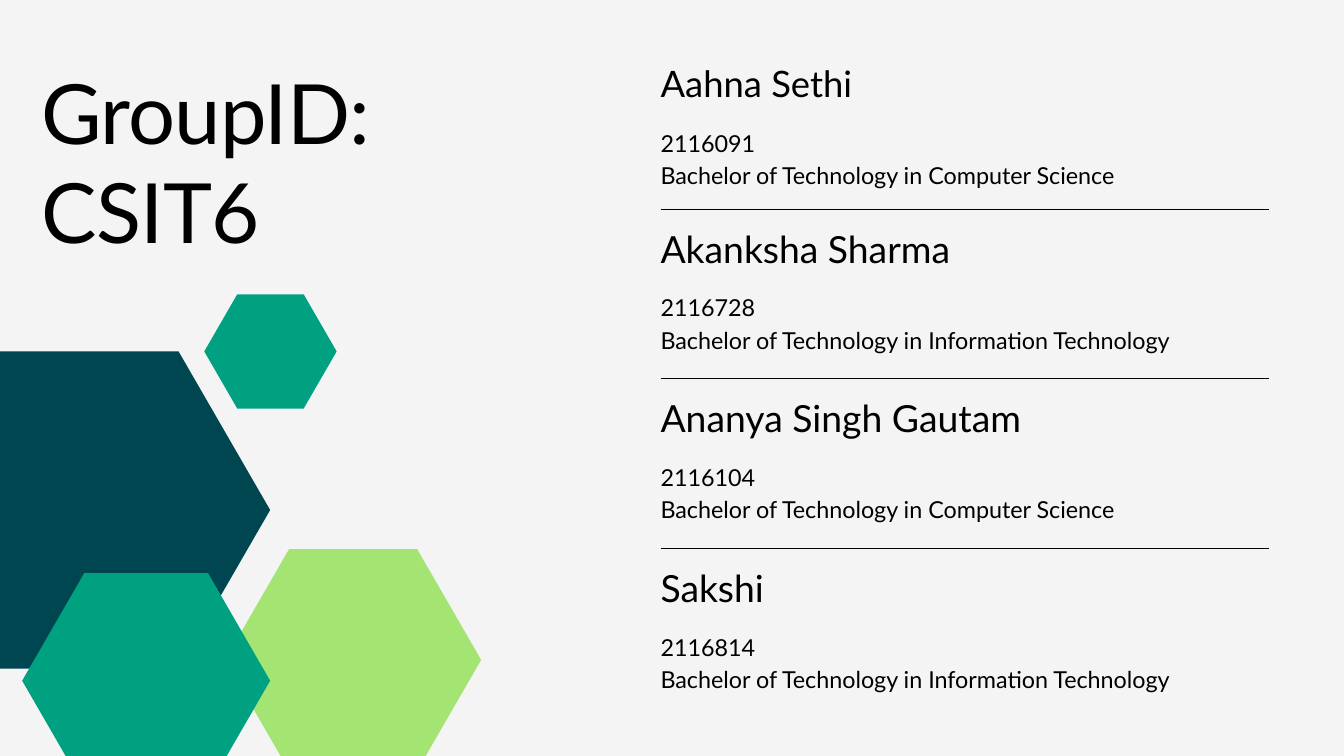
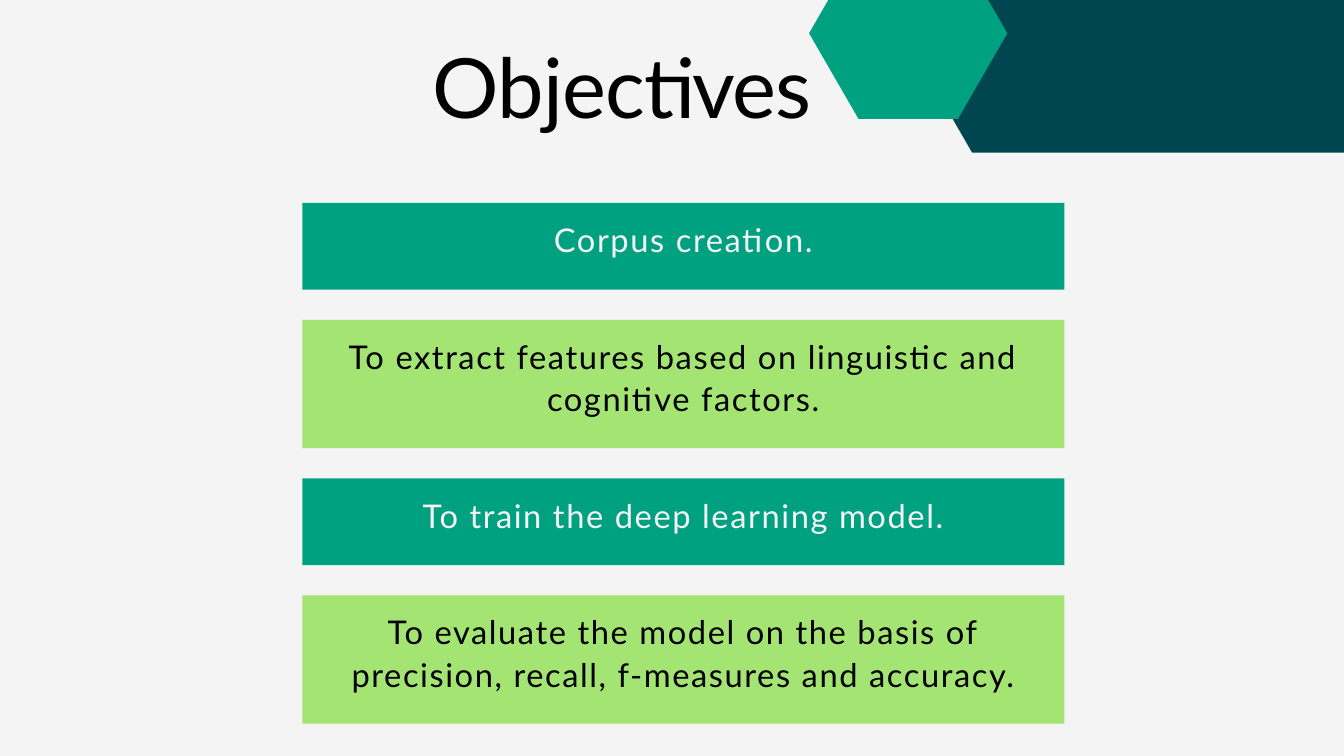
import math

from lxml import etree
from pptx import Presentation
from pptx.dml.color import RGBColor
from pptx.enum.shapes import MSO_CONNECTOR, MSO_SHAPE
from pptx.enum.text import MSO_ANCHOR, MSO_AUTO_SIZE, PP_ALIGN
from pptx.oxml.ns import qn
from pptx.util import Inches, Pt

LEFT, CENTER = PP_ALIGN.LEFT, PP_ALIGN.CENTER
TOP, MIDDLE = MSO_ANCHOR.TOP, MSO_ANCHOR.MIDDLE
NO_AUTOSIZE = MSO_AUTO_SIZE.NONE
RECTANGLE = MSO_SHAPE.RECTANGLE
STRAIGHT = MSO_CONNECTOR.STRAIGHT

FONT = "Lato"
COLORS = {
    "paper": "F4F4F4",
    "ink": "000000",
    "teal": "004651",
    "green": "00A181",
    "lime": "A4E473",
}

MEMBERS = [
    (0.91, 39, "Aahna Sethi", "2116091", "Computer Science"),
    (3.36, 40, "Akanksha Sharma", "2116728", "Information Technology"),
    (5.88, 40, "Ananya Singh Gautam", "2116104", "Computer Science"),
    (8.41, 40, "Sakshi", "2116814", "Information Technology"),
]

OBJECTIVES = [
    (1.29, "green", "paper", "Corpus creation."),
    (1.91, "lime", "ink",
     "To extract features based on linguistic and cognitive factors."),
    (1.29, "green", "paper", "To train the deep learning model."),
    (1.91, "lime", "ink",
     "To evaluate the model on the basis of precision, recall, "
     "f-measures and accuracy."),
]


def rgb(name):
    return RGBColor.from_string(COLORS[name])


def paint(sp, color):
    sp.shadow.inherit = False
    sp.fill.solid()
    sp.fill.fore_color.rgb = rgb(color)
    sp.line.fill.background()


def write(sp, text, size, leading, color="ink", align=LEFT, anchor=TOP,
          insets=(0, 0, 0, 0), tracking=0):
    tf = sp.text_frame
    tf.text = text
    tf.word_wrap = True
    tf.auto_size = NO_AUTOSIZE
    tf.vertical_anchor = anchor
    tf.margin_left, tf.margin_top, tf.margin_right, tf.margin_bottom = map(
        Inches, insets)
    for p in tf.paragraphs:
        p.alignment = align
        p.line_spacing = Pt(leading)
        for r in p.runs:
            r.font.name = FONT
            r.font.size = Pt(size)
            r.font.color.rgb = rgb(color)
            if tracking:
                r._r.get_or_add_rPr().set("spc", str(round(tracking * 100)))


def add_text(s, box, text, size, leading):
    sp = s.shapes.add_textbox(*map(Inches, box))
    write(sp, text, size, leading)


def add_title(s, box, text, leading, align):
    sp = s.shapes.title
    sp.left, sp.top, sp.width, sp.height = map(Inches, box)
    write(sp, text, 89, leading, align=align, tracking=-0.9)


def add_hexagon(s, box, color):
    x, y, w, h = box
    inset = h / 2 * math.tan(math.pi / 6)
    points = [(x, y + h / 2), (x + inset, y), (x + w - inset, y),
              (x + w, y + h / 2), (x + w - inset, y + h), (x + inset, y + h)]
    points = [(Inches(px), Inches(py)) for px, py in points]
    builder = s.shapes.build_freeform(*points[0])
    builder.add_line_segments(points[1:], close=True)
    paint(builder.convert_to_shape(), color)


def add_rule(s, x, y, w):
    line = s.shapes.add_connector(
        STRAIGHT, Inches(x), Inches(y), Inches(x + w), Inches(y))
    line.line.color.rgb = rgb("ink")
    line.line.width = Pt(0.75)
    etree.SubElement(line._element.spPr, qn("a:effectLst"))


def add_member(s, box, size, name, number, field):
    x, y, w, h = box
    add_text(s, (x, y, w, 0.66), name, size, size * 1.2)
    details = f"{number}\nBachelor of Technology in {field}"
    add_text(s, (x, y + 0.94, w, h - 0.94), details, 25, 35)


def add_members(s, x, w):
    for i, (y, size, *member) in enumerate(MEMBERS):
        if i:
            add_rule(s, x, y - 0.25, w)
        add_member(s, (x, y, w, 1.87), size, *member)


def add_objectives(s, x, y, w, gap):
    for h, fill, color, text in OBJECTIVES:
        sp = s.shapes.add_shape(RECTANGLE, *map(Inches, (x, y, w, h)))
        paint(sp, fill)
        write(sp, text, 35, 45.5, color, CENTER, MIDDLE,
              (0.28, 0.04, 0.28, 0.28), 1.7)
        y += h + gap


def add_slide(prs):
    return prs.slides.add_slide(prs.slide_layouts[5])


def build_group_slide(prs):
    s = add_slide(prs)
    add_title(s, (0.62, 0.91, 8.2, 2.97), "GroupID: CSIT6", 106.8, LEFT)
    add_hexagon(s, (-1.43, 5.23, 5.45, 4.72), "teal")
    add_hexagon(s, (3.35, 8.17, 3.81, 3.3), "lime")
    add_hexagon(s, (3.04, 4.38, 1.97, 1.7), "green")
    add_hexagon(s, (0.33, 8.53, 3.69, 3.2), "green")
    add_members(s, 9.83, 9.05)


def build_objectives_slide(prs):
    s = add_slide(prs)
    add_title(s, (5.3, 0.4, 7.92, 1.57), "Objectives", 115.7, CENTER)
    add_hexagon(s, (12.5, -4.54, 10.74, 6.81), "teal")
    add_hexagon(s, (12.04, -0.78, 2.95, 2.55), "green")
    add_objectives(s, 4.5, 3.02, 11.34, 0.45)


def main():
    prs = Presentation()
    prs.slide_width, prs.slide_height = Inches(20), Inches(11.25)
    background = prs.slide_master.background.fill
    background.solid()
    background.fore_color.rgb = rgb("paper")
    build_group_slide(prs)
    build_objectives_slide(prs)
    prs.save("out.pptx")


if __name__ == "__main__":
    main()
